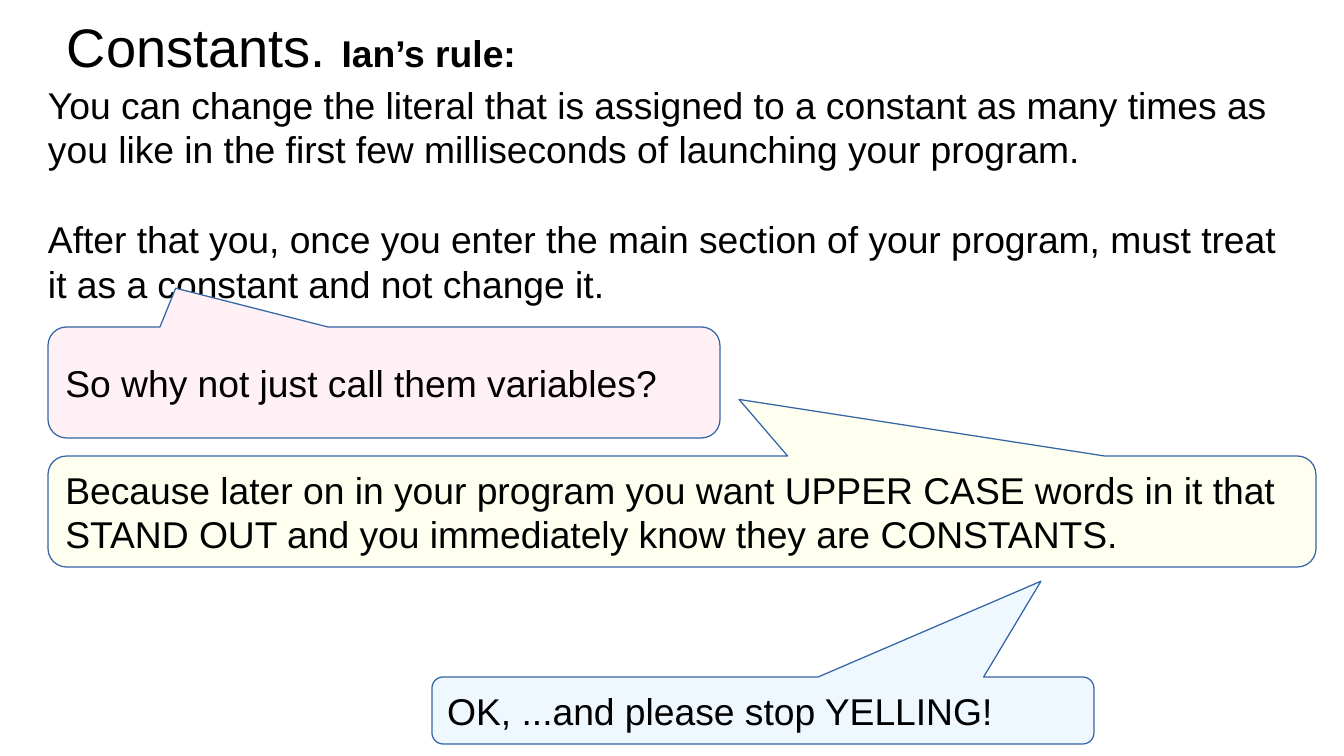
from dataclasses import dataclass

from pptx import Presentation
from pptx.dml.color import RGBColor
from pptx.enum.shapes import MSO_SHAPE as Preset
from pptx.enum.text import MSO_ANCHOR as Anchor, PP_ALIGN as Align
from pptx.util import Emu, Pt

PX = 914400 // 122
BLACK = RGBColor(0x00, 0x00, 0x00)
OUTLINE = RGBColor(0x34, 0x65, 0xA4)
PINK = RGBColor(0xFF, 0xF0, 0xF5)
IVORY = RGBColor(0xFF, 0xFF, 0xF0)
ICE = RGBColor(0xF0, 0xF8, 0xFF)
BODY_SIZE = 22
LINE_PITCH = Pt(26.4)


@dataclass(frozen=True)
class Box:
    left: int
    top: int
    width: int
    height: int

    def emu(self) -> tuple[Emu, ...]:
        return tuple(Emu(side * PX) for side in
                     (self.left, self.top, self.width, self.height))


@dataclass(frozen=True)
class Callout:
    box: Box
    tip: tuple[float, float]
    fill: RGBColor
    words: str


def add_words(paragraph, words: str, size: int = BODY_SIZE, bold: bool = False) -> None:
    run = paragraph.add_run()
    run.text = words
    run.font.name = "Arial"
    run.font.size = Pt(size)
    run.font.bold = bold
    run.font.color.rgb = BLACK


def set_frame(frame, anchor: Anchor, inset_x: int = 0, inset_y: int = 0) -> None:
    frame.word_wrap = True
    frame.vertical_anchor = anchor
    frame.margin_left = frame.margin_right = Emu(inset_x * PX)
    frame.margin_top = frame.margin_bottom = Emu(inset_y * PX)


def add_text_box(slide, box: Box, anchor: Anchor):
    frame = slide.shapes.add_textbox(*box.emu()).text_frame
    set_frame(frame, anchor)
    return frame


def add_callout(slide, callout: Callout) -> None:
    bubble = slide.shapes.add_shape(Preset.ROUNDED_RECTANGULAR_CALLOUT,
                                    *callout.box.emu())
    bubble.shadow.inherit = False
    bubble.adjustments[0], bubble.adjustments[1] = callout.tip
    bubble.fill.solid()
    bubble.fill.fore_color.rgb = callout.fill
    bubble.line.color.rgb = OUTLINE
    bubble.line.width = Pt(0)
    set_frame(bubble.text_frame, Anchor.MIDDLE, 12, 6)
    speech = bubble.text_frame.paragraphs[0]
    speech.alignment = Align.LEFT
    speech.line_spacing = LINE_PITCH
    add_words(speech, callout.words)


RULES = [
    "You can change the literal that is assigned to a constant as many times as "
    "you like in the first few milliseconds of launching your program.",
    "After that you, once you enter the main section of your program, must treat "
    "it as a constant and not change it.",
]

CALLOUTS = [
    Callout(Box(48, 327, 672, 111), (-0.31, -0.85), PINK,
            "So why not just call them variables?"),
    Callout(Box(48, 456, 1268, 111), (0.045, -1.01), IVORY,
            "Because later on in your program you want UPPER CASE words in it that "
            "STAND OUT and you immediately know they are CONSTANTS."),
    Callout(Box(432, 677, 662, 67), (0.42, -1.93), ICE,
            "OK, ...and please stop YELLING!"),
]


def main() -> None:
    deck = Presentation()
    deck.slide_width, deck.slide_height = Emu(1344 * PX), Emu(756 * PX)
    slide = deck.slides.add_slide(deck.slide_layouts[6])

    # Heading
    heading = add_text_box(slide, Box(67, 9, 1210, 73), Anchor.MIDDLE).paragraphs[0]
    add_words(heading, "Constants. ", 32)
    add_words(heading, "Ian’s rule:", bold=True)

    # The rule, one line apart between its paragraphs
    rule_frame = add_text_box(slide, Box(48, 82, 1249, 273), Anchor.TOP)
    for index, rule in enumerate(RULES):
        paragraph = rule_frame.add_paragraph() if index else rule_frame.paragraphs[0]
        paragraph.line_spacing = LINE_PITCH
        if index:
            paragraph.space_before = LINE_PITCH
        add_words(paragraph, rule)

    # Dialogue
    for callout in CALLOUTS:
        add_callout(slide, callout)

    deck.save("out.pptx")


if __name__ == "__main__":
    main()
